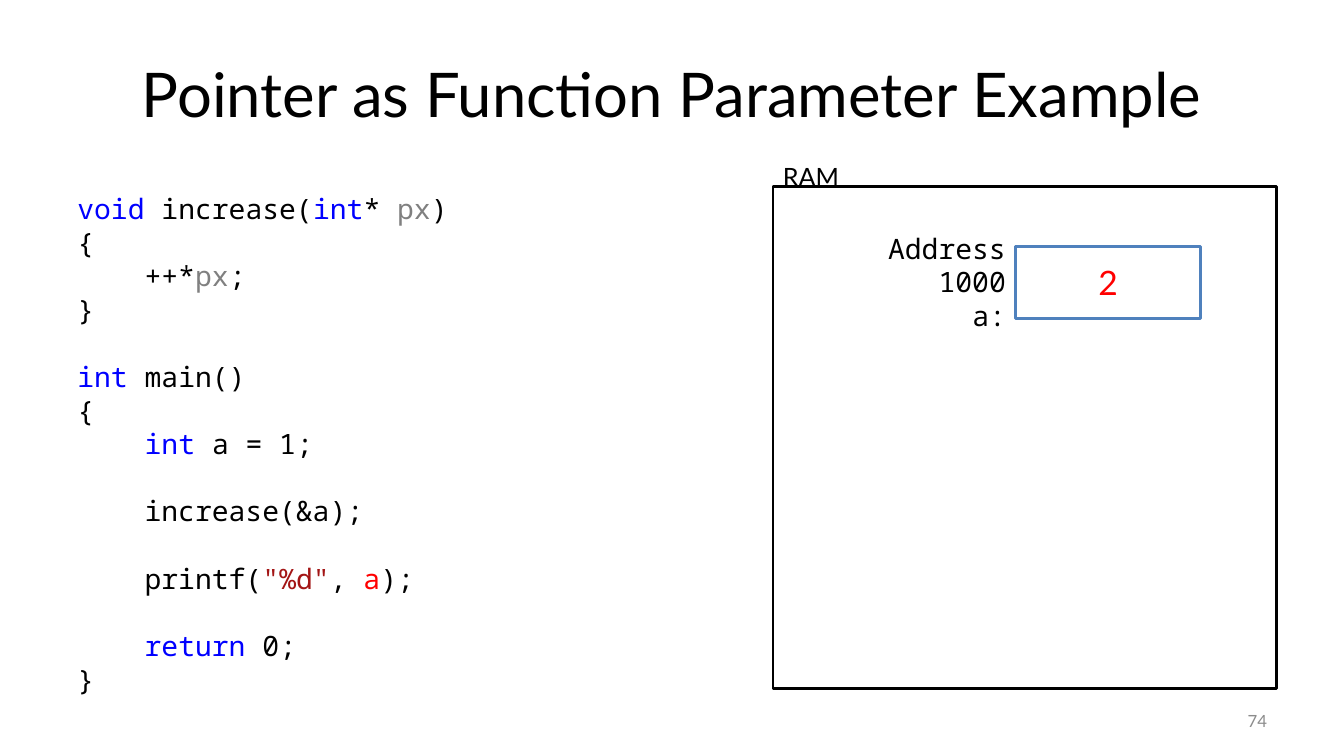
from pptx import Presentation
from pptx.dml.color import RGBColor
from pptx.enum.shapes import MSO_SHAPE as Shape
from pptx.enum.text import MSO_ANCHOR as Anchor, PP_ALIGN as Align
from pptx.util import Cm, Pt

BLACK, WHITE, RED, BLUE, GRAY = "000000", "FFFFFF", "FF0000", "0000FF", "808080"
TOKEN_COLORS = {"void": BLUE, "int": BLUE, "return": BLUE, "px": GRAY,
                '"%d"': "A31515", "a": RED}

# Each block is set off from the one before by one line of space.
CODE_BLOCKS = [
    [["void", " increase(", "int", "* ", "px", ")"],
     ["{"],
     ["    ++*", "px", ";"],
     ["}"]],
    [["int", " main()"],
     ["{"],
     ["    ", "int", " a = 1;"]],
    [["    increase(&a);"]],
    [["    printf(", '"%d"', ", ", "a", ");"]],
    [["    ", "return", " 0;"],
     ["}"]],
]


def rgb(value):
    return RGBColor.from_string(value)


class SlideBuilder:
    text_font = "Lato"
    code_font = "Noto Sans Mono"
    code_size = 20
    code_pitch = Pt(24)

    def __init__(self, slide):
        self.slide = slide

    def style(self, r, size, color, font):
        r.font.size = Pt(size)
        r.font.name = font
        r.font.color.rgb = rgb(color)

    def frame(self, box, anchor=Anchor.TOP):
        """Add a wrapping text box and return its text frame."""
        tf = self.slide.shapes.add_textbox(*map(Cm, box)).text_frame
        tf.word_wrap = True
        tf.vertical_anchor = anchor
        return tf

    def fill_text(self, tf, text, size, color, align, font=text_font):
        tf.text = text
        for p in tf.paragraphs:
            p.alignment = align
            for r in p.runs:
                self.style(r, size, color, font)

    def text(self, box, text, size, color=BLACK, align=Align.LEFT, anchor=Anchor.TOP):
        self.fill_text(self.frame(box, anchor), text, size, color, align)

    def code_label(self, box, text):
        tf = self.frame(box, Anchor.MIDDLE)
        self.fill_text(tf, text, self.code_size, BLACK, Align.RIGHT, self.code_font)
        for p in tf.paragraphs:
            p.line_spacing = self.code_pitch

    def rect(self, box, line, text="", size=24, color=BLACK):
        sp = self.slide.shapes.add_shape(Shape.RECTANGLE, *map(Cm, box))
        sp.shadow.inherit = False
        sp.fill.solid()
        sp.fill.fore_color.rgb = rgb(WHITE)
        sp.line.color.rgb = rgb(line)
        sp.line.width = Pt(2)
        if text:
            sp.text_frame.vertical_anchor = Anchor.MIDDLE
            self.fill_text(sp.text_frame, text, size, color, Align.CENTER)

    def code(self, box, blocks):
        tf = self.frame(box)
        for b, block in enumerate(blocks):
            for n, tokens in enumerate(block):
                first = b == n == 0
                p = tf.paragraphs[0] if first else tf.add_paragraph()
                p.line_spacing = self.code_pitch
                if n == 0 and not first:
                    p.space_before = self.code_pitch
                for token in tokens:
                    r = p.add_run()
                    r.text = token
                    self.style(r, self.code_size, TOKEN_COLORS.get(token, BLACK),
                               self.code_font)


def main():
    prs = Presentation()
    prs.slide_width, prs.slide_height = Cm(33.87), Cm(19.05)
    s = SlideBuilder(prs.slides.add_slide(prs.slide_layouts[6]))

    s.text((1.7, 0.76, 30.48, 3.18), "Pointer as Function Parameter Example", 44,
           align=Align.CENTER, anchor=Anchor.MIDDLE)
    s.text((24.28, 17.65, 7.9, 1.02), "74", 12, "8C8C8C", Align.RIGHT, Anchor.MIDDLE)

    s.rect((19.48, 4.7, 12.7, 12.65), BLACK)
    s.text((19.48, 3.94, 4.72, 1.02), "RAM", 18)
    s.rect((25.6, 6.22, 4.65, 1.8), "4F81BD", "2", color=RED)
    s.code_label((20.32, 6.12, 5.28, 1.96), "Address 1000\na:")

    s.code((1.7, 4.7, 12.7, 13), CODE_BLOCKS)
    prs.save("out.pptx")


if __name__ == "__main__":
    main()
